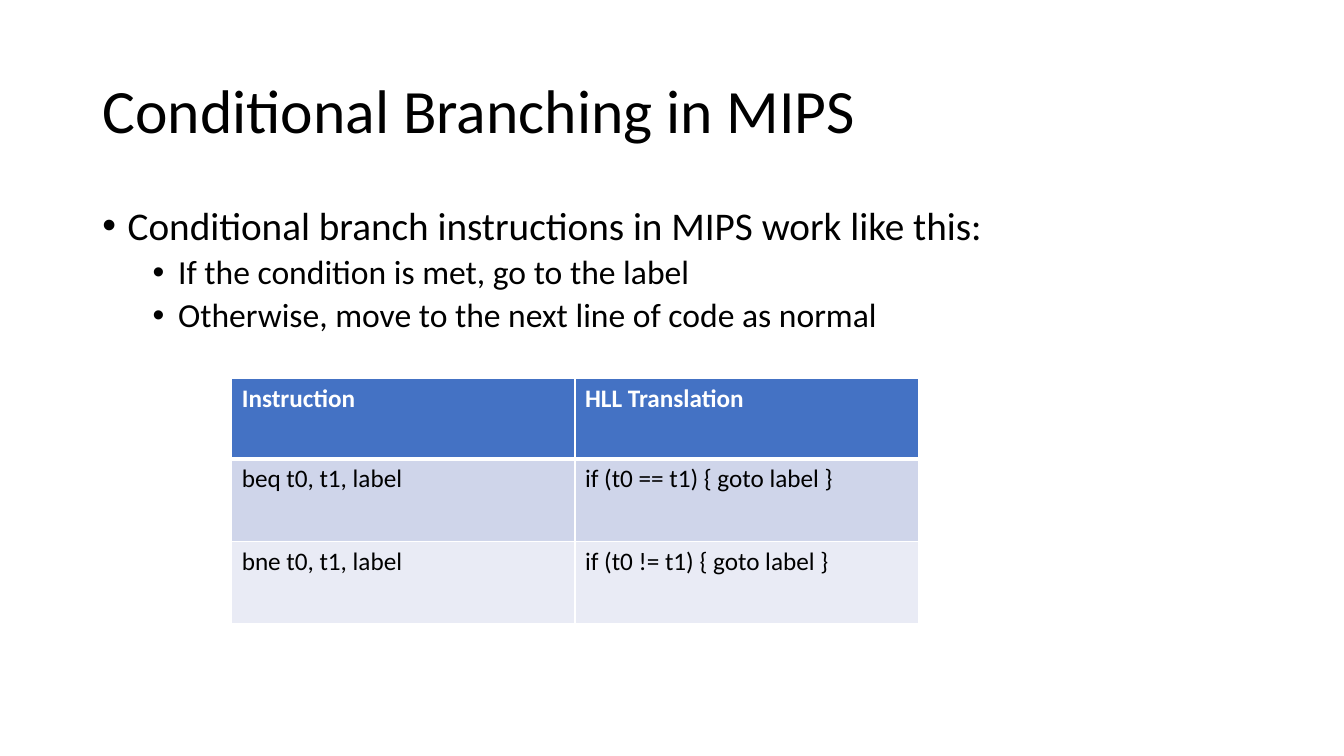
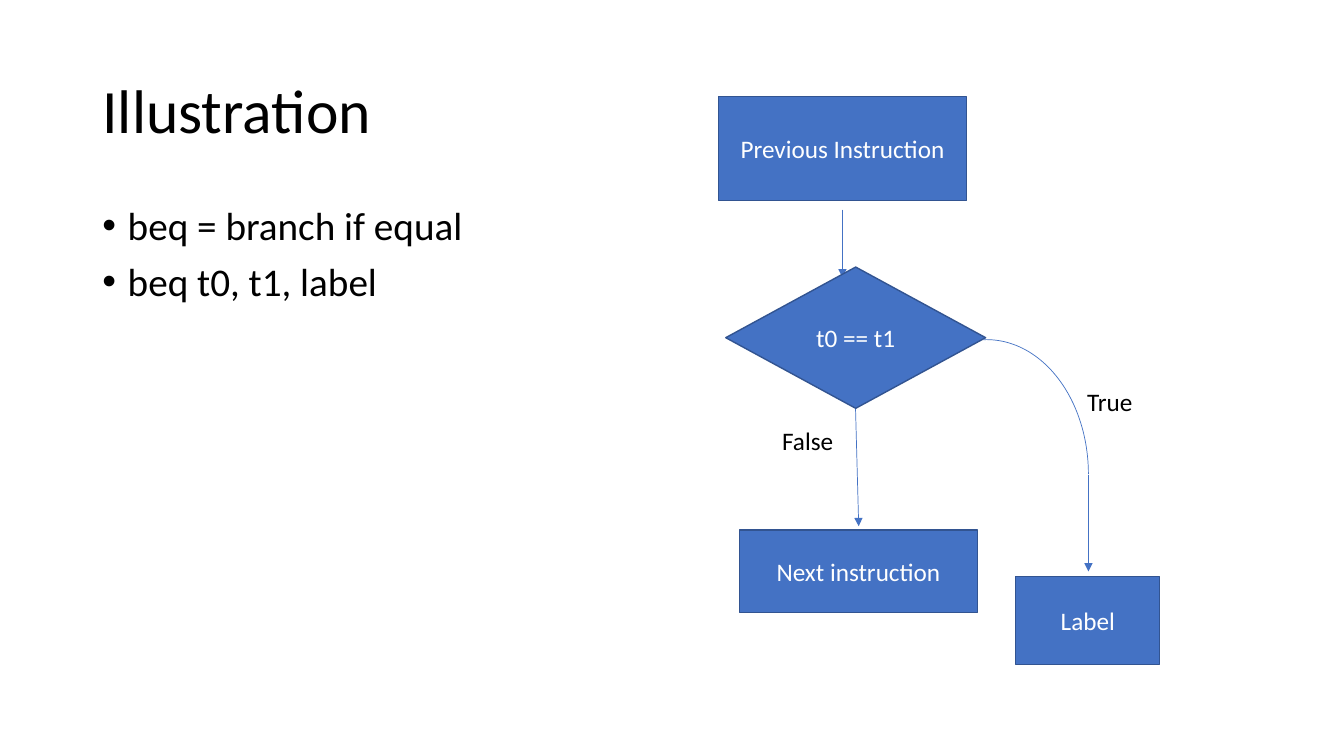
from dataclasses import dataclass
from typing import Any

from lxml import etree
from pptx import Presentation
from pptx.dml.color import RGBColor
from pptx.enum.shapes import MSO_CONNECTOR, MSO_SHAPE
from pptx.enum.text import MSO_ANCHOR, MSO_AUTO_SIZE, PP_ALIGN
from pptx.oxml.ns import qn
from pptx.util import Cm, Pt

RECTANGLE = MSO_SHAPE.RECTANGLE
DIAMOND = MSO_SHAPE.DIAMOND
ARC = MSO_SHAPE.ARC
STRAIGHT = MSO_CONNECTOR.STRAIGHT
MIDDLE = MSO_ANCHOR.MIDDLE
TOP = MSO_ANCHOR.TOP
LEFT = PP_ALIGN.LEFT
CENTER = PP_ALIGN.CENTER
GROW = MSO_AUTO_SIZE.SHAPE_TO_FIT_TEXT
NO_FIT = MSO_AUTO_SIZE.NONE

BLACK = RGBColor(0x00, 0x00, 0x00)
WHITE = RGBColor(0xFF, 0xFF, 0xFF)
BLUE = RGBColor(0x44, 0x72, 0xC4)
DARK_BLUE = RGBColor(0x32, 0x54, 0x91)
BAND_FILLS = (RGBColor(0xCF, 0xD5, 0xEA), RGBColor(0xE9, 0xEB, 0xF5))

FONT = "Calibri"
TITLE_ONLY = 5
MARGIN = 2.33
CONTENT_WIDTH = 29.21
TITLE_FONT = {"name": FONT, "size": Pt(44)}
SMALL_FONT = {"name": FONT, "size": Pt(18), "bold": False}
HEADER_FONT = SMALL_FONT | {"bold": True}
TITLE_PARAGRAPH = {"alignment": LEFT, "line_spacing": 0.9}
TITLE_FRAME = {"vertical_anchor": MIDDLE, "word_wrap": True, "auto_size": NO_FIT}
BODY_FRAME = {"vertical_anchor": TOP, "word_wrap": True, "auto_size": NO_FIT}
LABEL_FRAME = {"word_wrap": True, "auto_size": GROW}
NODE_FRAME = {"vertical_anchor": MIDDLE, "word_wrap": True}


@dataclass(frozen=True)
class Box:
    left: float
    top: float
    width: float
    height: float

    def lengths(self) -> tuple:
        return Cm(self.left), Cm(self.top), Cm(self.width), Cm(self.height)


@dataclass(frozen=True)
class BulletStyle:
    size: int
    space_before: int
    margin: float


@dataclass(frozen=True)
class Bullet:
    text: str
    level: int = 0


@dataclass(frozen=True)
class Node:
    text: str
    box: Box
    outline: Any = RECTANGLE


@dataclass(frozen=True)
class Arrow:
    start: tuple[float, float]
    end: tuple[float, float]


@dataclass(frozen=True)
class Label:
    text: str
    box: Box


TITLE_BOX = Box(MARGIN, 1.01, CONTENT_WIDTH, 3.68)
BODY_BOX = Box(MARGIN, 5.07, CONTENT_WIDTH, 12.09)
HANGING = 0.64
BULLET_STYLES = (BulletStyle(28, 10, 0.64), BulletStyle(24, 5, 1.91))

BRANCHING_BULLETS = (
    Bullet("Conditional branch instructions in MIPS work like this:"),
    Bullet("If the condition is met, go to the label", 1),
    Bullet("Otherwise, move to the next line of code as normal", 1),
)
BRANCH_TABLE_BOX = Box(5.84, 9.53, 17.3, 6.19)
BRANCH_ROW_HEIGHTS = (2.03, 2.08, 2.08)
BRANCH_ROWS = (
    ("Instruction", "HLL Translation"),
    ("beq t0, t1, label", "if (t0 == t1) { goto label }"),
    ("bne t0, t1, label", "if (t0 != t1) { goto label }"),
)

BEQ_BULLETS = (Bullet("beq = branch if equal"), Bullet("beq t0, t1, label"))
FLOW_NODES = (
    Node("Previous Instruction", Box(18.11, 2.44, 6.25, 2.62)),
    Node("t0 == t1", Box(18.29, 6.73, 6.55, 3.56), DIAMOND),
    Node("Label", Box(25.6, 14.53, 3.63, 2.21)),
    Node("Next instruction", Box(18.64, 13.36, 5.99, 2.08)),
)
FLOW_ARROWS = (
    Arrow((21.23, 5.28), (21.23, 6.99)),
    Arrow((27.43, 11.96), (27.43, 14.4)),
    Arrow((21.56, 10.29), (21.64, 13.26)),
)
TRUE_BEND = Box(22.3, 8.56, 5.13, 6.78)
TRUE_BEND_ANGLES = (161.16, 0)
FLOW_LABELS = (
    Label("True", Box(27.15, 9.6, 2.54, 1.02)),
    Label("False", Box(19.46, 10.59, 2.08, 1.02)),
)


def apply(target: Any, values: dict) -> None:
    for attribute, value in values.items():
        setattr(target, attribute, value)


def write(paragraph: Any, text: str, font: dict, color: RGBColor) -> None:
    run = paragraph.add_run()
    run.text = text
    apply(run.font, font)
    run.font.color.rgb = color


def style_line(line: Any, color: RGBColor, width: float) -> None:
    line.color.rgb = color
    line.width = Pt(width)


def add_titled_slide(deck: Any, title: str) -> Any:
    slide = deck.slides.add_slide(deck.slide_layouts[TITLE_ONLY])
    heading = slide.shapes.title
    apply(heading, dict(zip(("left", "top", "width", "height"), TITLE_BOX.lengths())))
    apply(heading.text_frame, TITLE_FRAME)
    paragraph = heading.text_frame.paragraphs[0]
    apply(paragraph, TITLE_PARAGRAPH)
    write(paragraph, title, TITLE_FONT, BLACK)
    return slide


def add_bullets(slide: Any, bullets: tuple[Bullet, ...]) -> None:
    frame = slide.shapes.add_textbox(*BODY_BOX.lengths()).text_frame
    apply(frame, BODY_FRAME)
    for index, bullet in enumerate(bullets):
        style = BULLET_STYLES[bullet.level]
        paragraph = frame.add_paragraph() if index else frame.paragraphs[0]
        apply(paragraph, {
            "level": bullet.level,
            "line_spacing": 0.9,
            "space_before": Pt(style.space_before),
        })
        properties = paragraph._p.get_or_add_pPr()
        properties.set("marL", str(Cm(style.margin)))
        properties.set("indent", str(-Cm(HANGING)))
        etree.SubElement(properties, qn("a:buFont"), typeface="Arial")
        etree.SubElement(properties, qn("a:buChar"), char="•")
        write(paragraph, bullet.text, {"name": FONT, "size": Pt(style.size)}, BLACK)


def add_cell_borders(cell: Any, widths: dict[str, int]) -> None:
    properties = cell._tc.get_or_add_tcPr()
    for side, width in widths.items():
        border = etree.SubElement(properties, qn(f"a:{side}"), w=str(Pt(width)))
        fill = etree.SubElement(border, qn("a:solidFill"))
        etree.SubElement(fill, qn("a:srgbClr"), val=str(WHITE))


def add_branch_table(slide: Any) -> None:
    column_count = len(BRANCH_ROWS[0])
    table = slide.shapes.add_table(
        len(BRANCH_ROWS), column_count, *BRANCH_TABLE_BOX.lengths()
    ).table
    for column in table.columns:
        column.width = Cm(BRANCH_TABLE_BOX.width / column_count)
    for row_index, texts in enumerate(BRANCH_ROWS):
        table.rows[row_index].height = Cm(BRANCH_ROW_HEIGHTS[row_index])
        is_header = row_index == 0
        fill = BLUE if is_header else BAND_FILLS[row_index - 1]
        font, color = (HEADER_FONT, WHITE) if is_header else (SMALL_FONT, BLACK)
        borders = {
            "lnL": 1,
            "lnR": 1,
            "lnT": 3 if row_index == 1 else 1,
            "lnB": 3 if is_header else 1,
        }
        for column_index, text in enumerate(texts):
            cell = table.cell(row_index, column_index)
            add_cell_borders(cell, borders)
            cell.fill.solid()
            cell.fill.fore_color.rgb = fill
            write(cell.text_frame.paragraphs[0], text, font, color)


def add_node(slide: Any, node: Node) -> None:
    step = slide.shapes.add_shape(node.outline, *node.box.lengths())
    step.shadow.inherit = False
    step.fill.solid()
    step.fill.fore_color.rgb = BLUE
    style_line(step.line, DARK_BLUE, 1)
    apply(step.text_frame, NODE_FRAME)
    paragraph = step.text_frame.paragraphs[0]
    paragraph.alignment = CENTER
    write(paragraph, node.text, SMALL_FONT, WHITE)


def add_arrow(slide: Any, arrow: Arrow) -> None:
    ends = (Cm(length) for length in arrow.start + arrow.end)
    connector = slide.shapes.add_connector(STRAIGHT, *ends)
    style_line(connector.line, BLUE, 0.5)
    properties = connector.element.spPr
    etree.SubElement(properties.find(qn("a:ln")), qn("a:tailEnd"), type="triangle")
    etree.SubElement(properties, qn("a:effectLst"))


def add_true_bend(slide: Any) -> None:
    bend = slide.shapes.add_shape(ARC, *TRUE_BEND.lengths())
    bend.shadow.inherit = False
    bend.fill.background()
    style_line(bend.line, BLUE, 0.5)
    for index, angle in enumerate(TRUE_BEND_ANGLES):
        bend.adjustments[index] = angle


def add_label(slide: Any, label: Label) -> None:
    frame = slide.shapes.add_textbox(*label.box.lengths()).text_frame
    apply(frame, LABEL_FRAME)
    write(frame.paragraphs[0], label.text, SMALL_FONT, BLACK)


def build_branching(deck: Any) -> None:
    slide = add_titled_slide(deck, "Conditional Branching in MIPS")
    add_bullets(slide, BRANCHING_BULLETS)
    add_branch_table(slide)


def build_illustration(deck: Any) -> None:
    slide = add_titled_slide(deck, "Illustration")
    add_bullets(slide, BEQ_BULLETS)
    for arrow in FLOW_ARROWS:
        add_arrow(slide, arrow)
    for node in FLOW_NODES:
        add_node(slide, node)
    add_true_bend(slide)
    for label in FLOW_LABELS:
        add_label(slide, label)


def main() -> None:
    deck = Presentation()
    apply(deck, {"slide_width": Cm(33.87), "slide_height": Cm(19.05)})
    build_branching(deck)
    build_illustration(deck)
    deck.save("out.pptx")


main()
